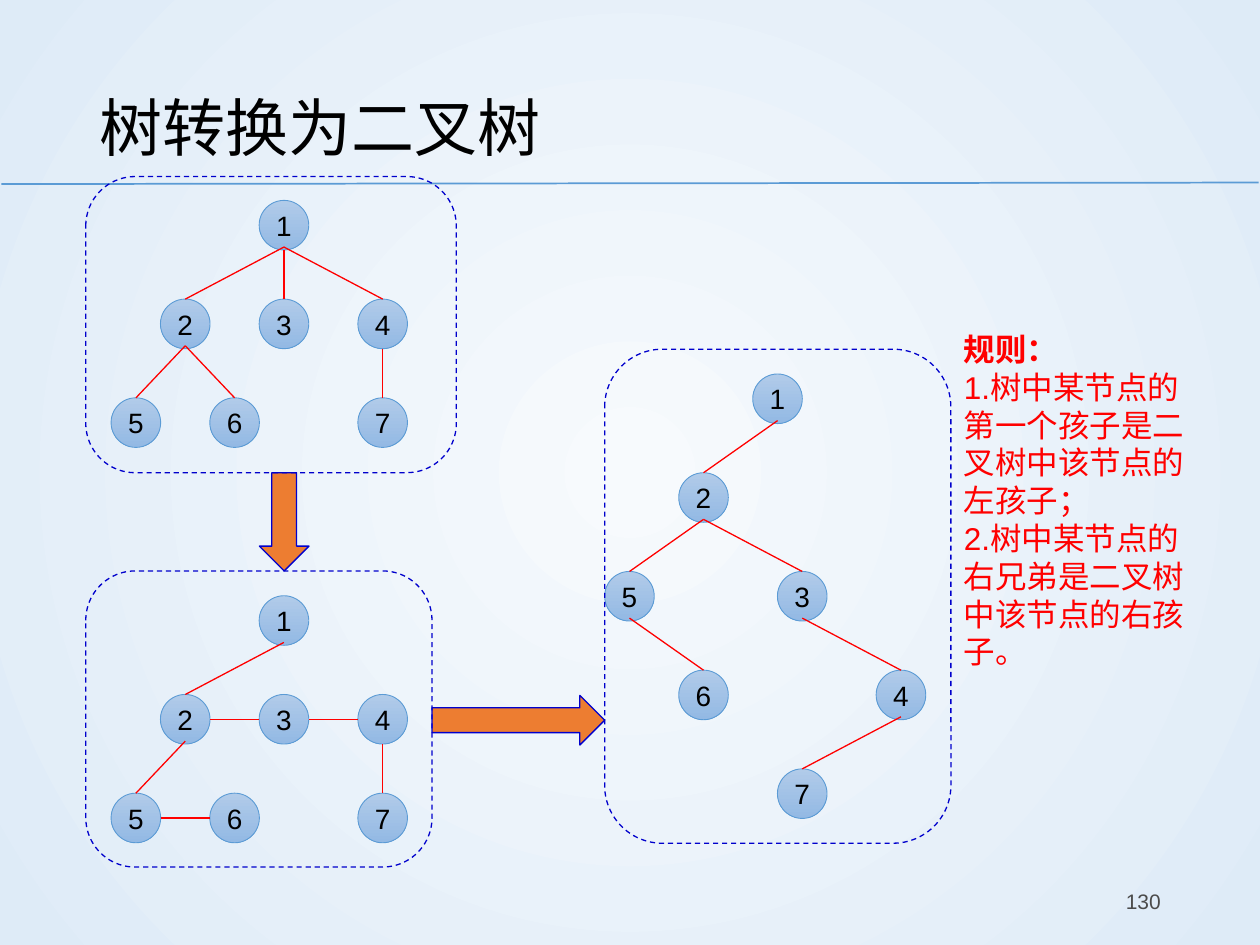
import pptx
import pptx.util
import pptx.dml.color
import pptx.enum.dml
import pptx.enum.shapes
import pptx.enum.text
import pptx.oxml.ns
import pptx.oxml.xmlchemy

Cm, Pt = pptx.util.Cm, pptx.util.Pt
rgb = pptx.dml.color.RGBColor.from_string
SHAPE = pptx.enum.shapes.MSO_SHAPE
ALIGN = pptx.enum.text.PP_ALIGN
MIDDLE = pptx.enum.text.MSO_ANCHOR.MIDDLE
qn = pptx.oxml.ns.qn
OxmlElement = pptx.oxml.xmlchemy.OxmlElement

prs = pptx.Presentation()
prs.slide_width, prs.slide_height = Cm(25.4), Cm(19.05)
s = prs.slides.add_slide(prs.slide_layouts[6])


def add_run(p, text, size, color, bold=False):
    r = p.add_run()
    r.text = text
    r.font.name = "Arial"
    r.font.size = Pt(size)
    r.font.bold = bold
    r.font.color.rgb = rgb(color)


def add_line(x1, y1, x2, y2, color, width):
    ln = s.shapes.add_connector(pptx.enum.shapes.MSO_CONNECTOR.STRAIGHT,
                                Cm(x1), Cm(y1), Cm(x2), Cm(y2))
    ln.line.color.rgb = rgb(color)
    ln.line.width = Pt(width)
    ln._element.spPr.append(OxmlElement("a:effectLst"))


# Background: radial gradient, lightest in the centre
fill = s.background.fill
fill.gradient()
for stop, color in zip(fill.gradient_stops, ("F7FAFD", "DEEBF7")):
    stop.color.rgb = rgb(color)
grad = s._element.find(".//" + qn("a:gradFill"))
grad.remove(grad.find(qn("a:lin")))
radial = OxmlElement("a:path")
radial.set("path", "circle")
center = OxmlElement("a:fillToRect")
for side in "ltrb":
    center.set(side, "50000")
radial.append(center)
grad.append(radial)

# Header rule
add_line(0.03, 3.71, 25.37, 3.68, "5B9BD5", 1)

# Title
tf = s.shapes.add_textbox(Cm(1.75), Cm(1.02), Cm(21.89), Cm(2.74)).text_frame
tf.word_wrap = True
tf.vertical_anchor = MIDDLE
p = tf.paragraphs[0]
p.line_spacing = 1.2
add_run(p, "树转换为二叉树", 36, "000000")

# Slide number
tf = s.shapes.add_textbox(Cm(17.93), Cm(17.65), Cm(5.72), Cm(1.02)).text_frame
tf.word_wrap = True
tf.vertical_anchor = MIDDLE
p = tf.paragraphs[0]
p.alignment = ALIGN.RIGHT
add_run(p, "130", 12, "4B4B4B")

# Trees: left, top, {label: (column, row)} in grid steps, edges
NODE, STEP = 1, 1.99
family = {"1": (1.5, 0), "2": (0.5, 1), "3": (1.5, 1), "4": (2.5, 1),
          "5": (0, 2), "6": (1, 2), "7": (2.5, 2)}
binary = {"1": (1.5, 0), "2": (0.75, 1), "5": (0, 2), "3": (1.75, 2),
          "6": (0.75, 3), "4": (2.75, 3), "7": (1.75, 4)}
trees = [
    (2.24, 4.04, family, ("12", "13", "14", "25", "26", "47")),
    (2.24, 12.01, family, ("12", "23", "34", "25", "56", "47")),
    (12.19, 7.54, binary, ("12", "25", "23", "56", "34", "47")),
]
for left, top, nodes, edges in trees:
    spots = {label: (left + col * STEP, top + row * STEP)
             for label, (col, row) in nodes.items()}
    for label, (x, y) in spots.items():
        sp = s.shapes.add_shape(SHAPE.OVAL, Cm(x), Cm(y), Cm(NODE), Cm(NODE))
        sp.shadow.inherit = False
        sp.fill.gradient()
        sp.fill.gradient_angle = 270
        for stop, color in zip(sp.fill.gradient_stops, ("B1CBE9", "93B9E4")):
            stop.color.rgb = rgb(color)
        sp.line.color.rgb = rgb("5B9BD5")
        sp.line.width = Pt(0.5)
        tf = sp.text_frame
        tf.margin_left = tf.margin_right = tf.margin_top = tf.margin_bottom = 0
        tf.word_wrap = False
        tf.vertical_anchor = MIDDLE
        p = tf.paragraphs[0]
        p.alignment = ALIGN.CENTER
        add_run(p, label, 16, "000000")
    for a, b in edges:
        (xa, ya), (xb, yb) = spots[a], spots[b]
        if ya == yb:  # siblings
            add_line(xa + NODE, ya + NODE / 2, xb, yb + NODE / 2, "FF0000", 0.75)
        else:  # parent to child; slanted edges start just inside the circle
            lift = 0 if xa == xb else 0.06
            add_line(xa + NODE / 2, ya + NODE - lift, xb + NODE / 2, yb,
                     "FF0000", 0.75)

# Block arrows between the stages
for kind, x, y, w, h in [(SHAPE.DOWN_ARROW, 5.23, 9.53, 1, 1.98),
                         (SHAPE.RIGHT_ARROW, 8.71, 14.02, 3.48, 1)]:
    sp = s.shapes.add_shape(kind, Cm(x), Cm(y), Cm(w), Cm(h))
    sp.shadow.inherit = False
    sp.fill.solid()
    sp.fill.fore_color.rgb = rgb("ED7D31")
    sp.line.color.rgb = rgb("0000CC")
    sp.line.width = Pt(0.75)

# Rules
tf = s.shapes.add_textbox(Cm(19.18), Cm(6.53), Cm(4.98), Cm(7.19)).text_frame
tf.word_wrap = True
rules = ["规则：",
         "1.树中某节点的第一个孩子是二叉树中该节点的左孩子；",
         "2.树中某节点的右兄弟是二叉树中该节点的右孩子。"]
for i, text in enumerate(rules):
    p = tf.paragraphs[0] if i == 0 else tf.add_paragraph()
    add_run(p, text, 18, "FF0000", bold=i == 0)

# Dashed frames around the trees
for x, y, w, h in [(1.73, 3.56, 7.47, 5.97),
                   (1.73, 11.51, 6.98, 5.97),
                   (12.19, 7.04, 6.98, 9.96)]:
    sp = s.shapes.add_shape(SHAPE.ROUNDED_RECTANGLE, Cm(x), Cm(y), Cm(w), Cm(h))
    sp.shadow.inherit = False
    sp.fill.background()
    sp.line.color.rgb = rgb("0000CC")
    sp.line.width = Pt(0.75)
    sp.line.dash_style = pptx.enum.dml.MSO_LINE.DASH

prs.save("out.pptx")
